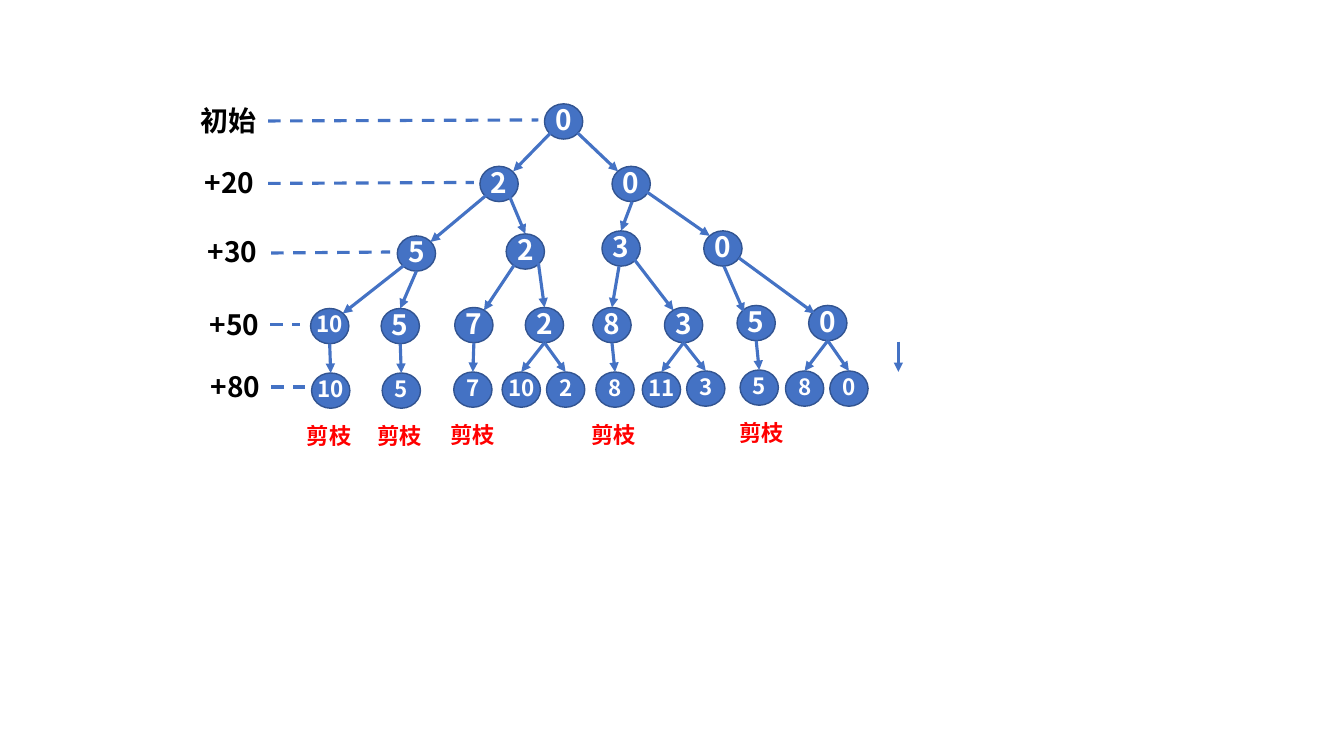
from collections import namedtuple

from lxml.etree import SubElement
from pptx import Presentation
from pptx.dml.color import RGBColor
from pptx.enum.dml import MSO_LINE
from pptx.enum.shapes import MSO_CONNECTOR, MSO_SHAPE
from pptx.enum.text import MSO_AUTO_SIZE, PP_ALIGN
from pptx.oxml.ns import qn
from pptx.util import Pt

PX = 9144
FONT = "Noto Sans CJK SC"
COLORS = {"node": "4472C4", "rim": "325491", "value": "FFFFFF",
          "level": "000000", "pruned": "FF0000"}
NODE_W, NODE_H = 38, 35
VALUE_W = 58

Node = namedtuple("Node", "left top value edge", defaults=[None])
Leaf = namedtuple("Leaf", "left top value parent pruned_left", defaults=[None])
Level = namedtuple("Level", "label left top width wrap dash")

# Positions are relative to the tree's top left; an edge comes from the parent.
INNER_NODES = [
    Node(240, 3, "0"),
    Node(176, 65, "2", (246, 32, 209, 70)),
    Node(307, 65, "0", (273, 32, 313, 70)),
    Node(94, 134, "5", (182, 94, 127, 140)),
    Node(202, 132, "2", (205, 94, 221, 132)),
    Node(297, 129, "3", (327, 100, 316, 129)),
    Node(398, 129, "0", (341, 90, 404, 134)),
]
LOWER_NODES = [
    Node(8, 206, "10", (101, 163, 40, 211)),
    Node(78, 206, "5", (113, 169, 97, 206)),
    Node(151, 205, "7", (210, 163, 180, 208)),
    Node(221, 205, "2", (234, 161, 240, 205)),
    Node(288, 205, "8", (314, 164, 307, 205)),
    Node(359, 205, "3", (328, 156, 368, 208)),
    Node(431, 203, "5", (418, 164, 438, 210)),
    Node(502, 203, "0", (433, 156, 508, 211)),
]
# The parent is an index into LOWER_NODES.
LEAVES = [
    Leaf(9, 270, "10", 0, -9),
    Leaf(79, 270, "5", 1, 61),
    Leaf(150, 269, "7", 2, 133),
    Leaf(198, 269, "10", 3),
    Leaf(242, 269, "2", 3),
    Leaf(291, 269, "8", 4, 273),
    Leaf(337, 269, "11", 5),
    Leaf(381, 268, "3", 5),
    Leaf(434, 267, "5", 6, 420),
    Leaf(479, 268, "8", 7),
    Leaf(523, 268, "0", 7),
]
# Positions are relative to the top left of the level captions.
LEVELS = [
    Level("初始", 89, -2, 76, False, (166, 20, 434, 19)),
    Level("+20", 92, 59, 71, False, (166, 82, 370, 81)),
    Level("+30", 95, 128, 71, False, (169, 151, 287, 150)),
    Level("+50", 97, 200, 71, True, (168, 222, 198, 222)),
    Level("+80", 98, 262, 71, True, (169, 284, 203, 284)),
]


def rgb(name):
    return RGBColor.from_string(COLORS[name])


def add_text(page, text, left, top, width, size=20, color="value", wrap=False):
    height = 44 if size == 20 else 37
    box = page.shapes.add_textbox(left * PX, top * PX, width * PX, height * PX)
    frame = box.text_frame
    frame.word_wrap = wrap
    frame.auto_size = MSO_AUTO_SIZE.SHAPE_TO_FIT_TEXT
    para = frame.paragraphs[0]
    para.alignment = PP_ALIGN.CENTER
    span = para.add_run()
    span.text = text
    font = span.font
    font.size, font.bold, font.name = Pt(size), True, FONT
    font.color.rgb = rgb(color)
    SubElement(font._element, qn("a:ea"), typeface=FONT)


def add_line(page, left, top, points, arrow=True):
    """Draw an arrow, or a dashed line, between points offset by left and top."""
    x1, y1, x2, y2 = points
    line = page.shapes.add_connector(
        MSO_CONNECTOR.STRAIGHT, (left + x1) * PX, (top + y1) * PX,
        (left + x2) * PX, (top + y2) * PX)
    line.line.color.rgb = rgb("node")
    line.line.width = Pt(2.25)
    if arrow:
        SubElement(line.line._get_or_add_ln(), qn("a:tailEnd"), type="triangle")
    else:
        line.line.dash_style = MSO_LINE.DASH
    SubElement(line._element.spPr, qn("a:effectLst"))


def add_circle(page, left, top):
    circle = page.shapes.add_shape(
        MSO_SHAPE.OVAL, left * PX, top * PX, NODE_W * PX, NODE_H * PX)
    circle.shadow.inherit = False
    circle.fill.solid()
    circle.fill.fore_color.rgb = rgb("node")
    circle.line.color.rgb = rgb("rim")
    circle.line.width = Pt(1)


def add_value(page, left, top, text, size):
    """Centre a value over the circle at left and top."""
    rise = 6 if size == 20 else 3
    add_text(page, text, left - (VALUE_W - NODE_W) // 2, top - rise, VALUE_W, size)


def leaf_edge(leaf):
    parent = LOWER_NODES[leaf.parent]
    return (parent.left + NODE_W // 2, parent.top + NODE_H,
            leaf.left + NODE_W // 2, leaf.top)


def draw_tree(page, left, top):
    nodes = INNER_NODES + LOWER_NODES
    for node in nodes + LEAVES:
        add_circle(page, left + node.left, top + node.top)
    edges = [node.edge for node in nodes if node.edge]
    for edge in edges + [leaf_edge(leaf) for leaf in LEAVES]:
        add_line(page, left, top, edge)
    for node in nodes:
        size = 16 if len(node.value) == 2 else 20
        add_value(page, left + node.left, top + node.top, node.value, size)
    for leaf in LEAVES:
        add_value(page, left + leaf.left, top + leaf.top, leaf.value, 16)
        if leaf.pruned_left is not None:
            add_text(page, "剪枝", left + leaf.pruned_left, top + leaf.top + 44,
                     71, size=16, color="pruned", wrap=True)


def draw_levels(page, left, top):
    for level in LEVELS:
        add_text(page, level.label, left + level.left, top + level.top,
                 level.width, color="level", wrap=level.wrap)
        add_line(page, left, top, level.dash, arrow=False)


def main():
    deck = Presentation()
    deck.slide_width, deck.slide_height = 1333 * PX, 750 * PX
    page = deck.slides.add_slide(deck.slide_layouts[6])
    draw_levels(page, 100, 100)
    draw_tree(page, 300, 100)
    add_line(page, 891, 339, (0, 0, 0, 30))
    deck.save("out.pptx")


if __name__ == "__main__":
    main()
